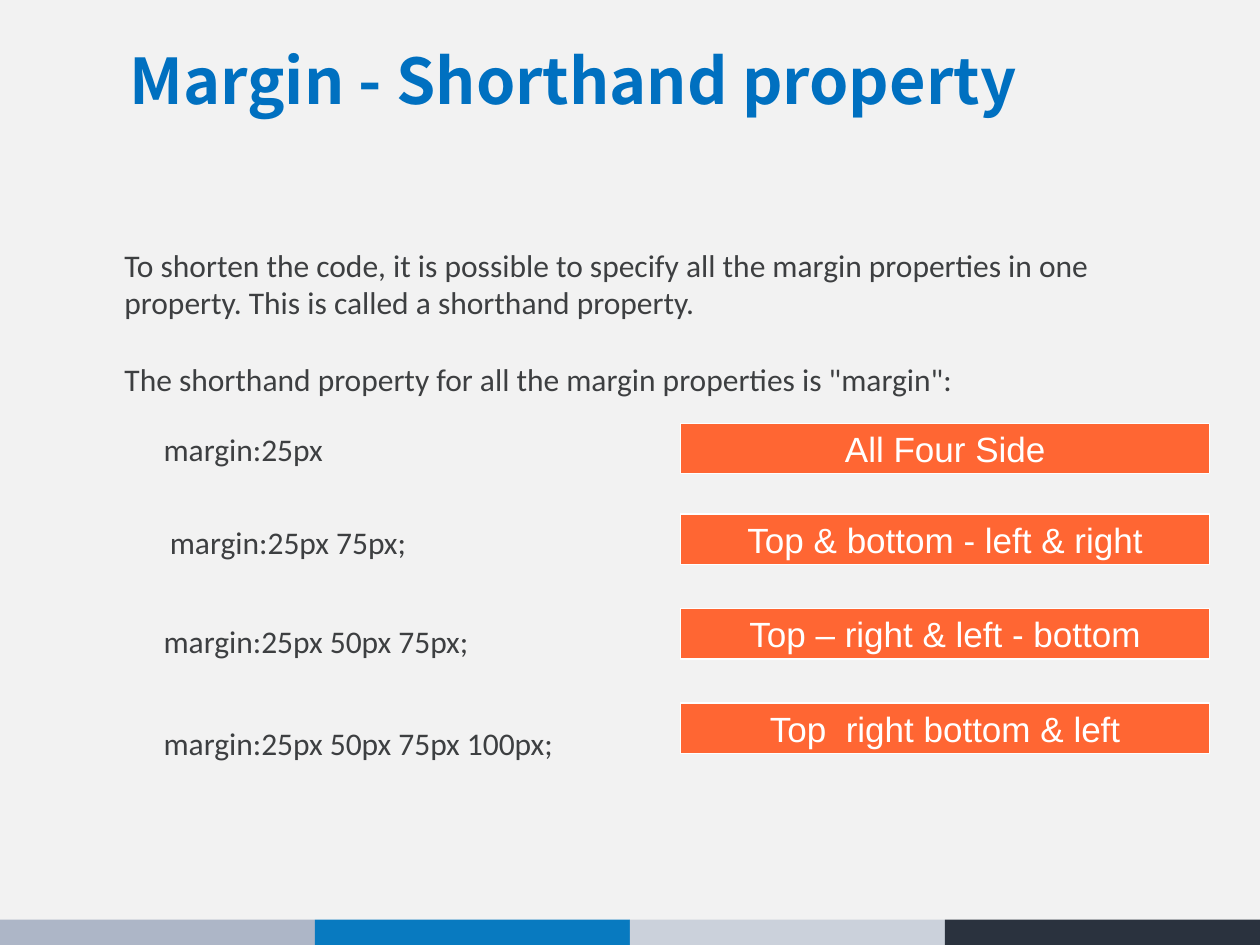
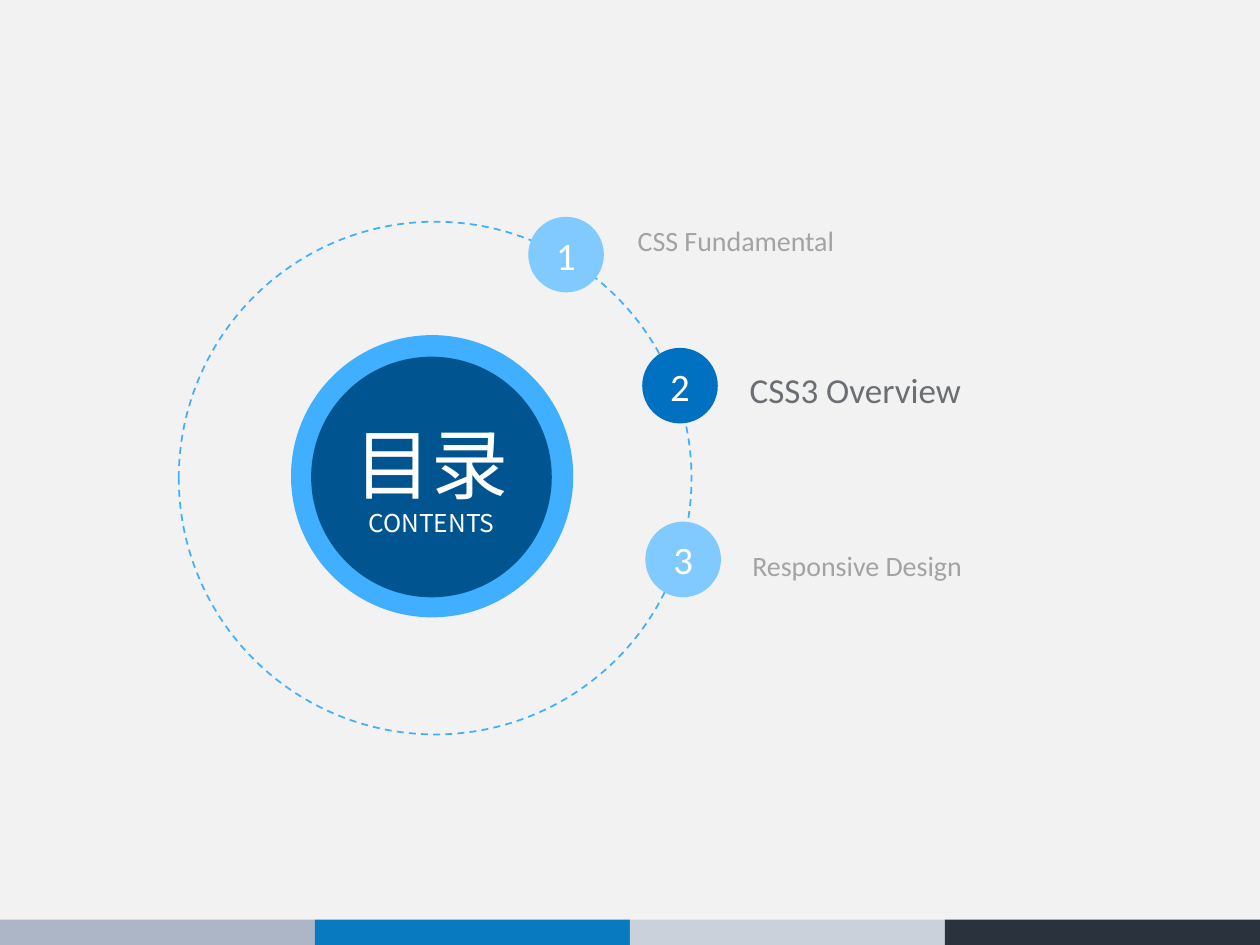
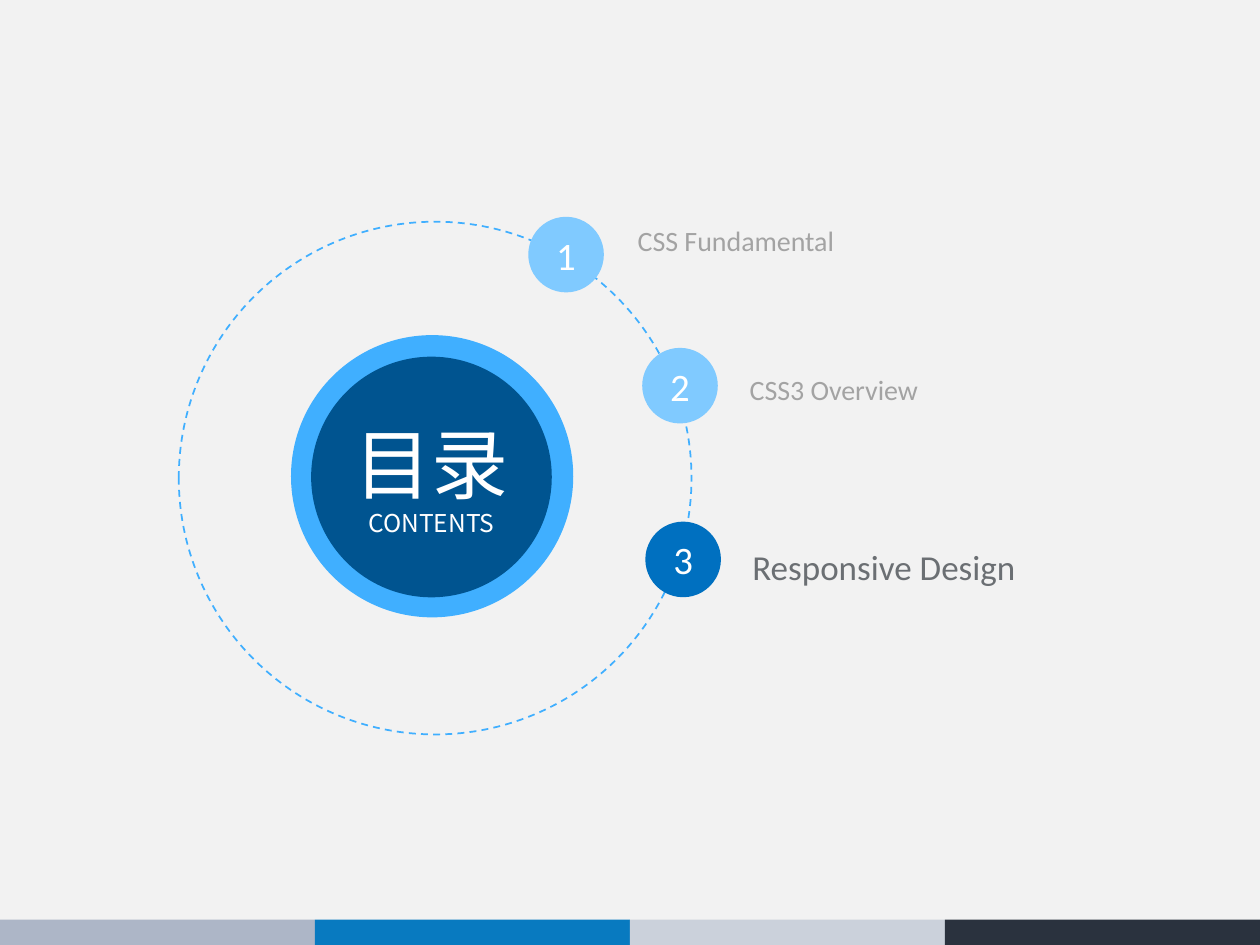
from lxml.etree import SubElement
from pptx import Presentation
from pptx.dml.color import RGBColor
from pptx.enum.dml import MSO_LINE_DASH_STYLE as Dash
from pptx.enum.shapes import MSO_SHAPE as Preset
from pptx.enum.text import MSO_ANCHOR as Anchor, PP_ALIGN as Align
from pptx.oxml.ns import qn
from pptx.util import Pt

COLORS = {
    "page": "F2F2F2", "white": "FFFFFF", "title": "0070C0", "body": "3D3F41",
    "orange": "FF6633", "sky": "40AFFF", "navy": "005490",
    "active": "0070C0", "idle": "80CAFF", "strong": "6B6F73", "faint": "A3A3A3",
    "band_grey": "ADB6C7", "band_blue": "087AC0",
    "band_pale": "CBD1DB", "band_dark": "2A323E",
}
CJK_FONT = "Noto Sans CJK SC"
FONTS = {
    "title": {"name": CJK_FONT, "size": Pt(36), "bold": True},
    "body": {"name": "Calibri", "size": Pt(18)},
    "pill": {"name": "Arial", "size": Pt(20)},
    "hub": {"name": CJK_FONT, "size": Pt(44)},
    "hub_small": {"name": CJK_FONT, "size": Pt(14)},
    "number": {"name": "Calibri", "size": Pt(22.2)},
    "topic": {"name": "Calibri", "size": Pt(16)},
    "topic_active": {"name": "Calibri", "size": Pt(20)},
}
INSETS = (7.2, 3.6, 7.2, 3.6)
SIDES = ("margin_left", "margin_top", "margin_right", "margin_bottom")

MARGIN_ROWS = [
    ("margin:25px", 86.4, 242, "All Four Side", 242),
    ("margin:25px 75px;", 90, 295.2, "Top & bottom - left & right", 293.8),
    ("margin:25px 50px 75px;", 86.4, 352, "Top – right & left - bottom", 347.8),
    ("margin:25px 50px 75px 100px;", 86.4, 410.4, "Top  right bottom & left", 401.8),
]
TOPICS = [
    ("CSS Fundamental", (361.5, 105.1, 281.5, 60.5), (301.9, 123.9)),
    ("CSS3 Overview", (425.5, 190.1, 234.7, 60.5), (367, 198.8)),
    ("Responsive Design", (427, 290.9, 237.6, 60.5), (368.8, 298.1)),
]


def color(name):
    return RGBColor.from_string(COLORS[name])


def apply(target, values):
    for name, value in values.items():
        setattr(target, name, value)


class Designer:
    def __init__(self):
        self.deck = Presentation()
        apply(self.deck, {"slide_width": Pt(720), "slide_height": Pt(540)})
        self.page = None

    def new_page(self):
        self.page = self.deck.slides.add_slide(self.deck.slide_layouts[6])
        fill = self.page.background.fill
        fill.solid()
        fill.fore_color.rgb = color("page")
        for index, name in enumerate(("grey", "blue", "pale", "dark")):
            self.shape(Preset.RECTANGLE, (index * 180, 525.5, 180, 14.5), "band_" + name)

    def shape(self, preset, place, fill=None, line=None, width=0, dash=None):
        box = self.page.shapes.add_shape(preset, *map(Pt, place))
        box.shadow.inherit = False
        if fill:
            box.fill.solid()
            box.fill.fore_color.rgb = color(fill)
        else:
            box.fill.background()
        if line:
            box.line.color.rgb = color(line)
            apply(box.line, {"width": Pt(width), "dash_style": dash})
        else:
            box.line.fill.background()
        return box

    def fill_text(self, box, lines, tint, insets=INSETS, anchor=Anchor.MIDDLE, **layout):
        frame = box.text_frame
        apply(frame, {"word_wrap": True, "vertical_anchor": anchor})
        apply(frame, dict(zip(SIDES, map(Pt, insets))))
        for index, (text, style) in enumerate(lines):
            para = frame.add_paragraph() if index else frame.paragraphs[0]
            apply(para, layout)
            if index == 0:
                para.space_before = Pt(0)
            span = para.add_run()
            span.text = text
            apply(span.font, FONTS[style])
            span.font.color.rgb = color(tint)
            if span.font.name == CJK_FONT:
                SubElement(span.font._element, qn("a:ea"), typeface=CJK_FONT)

    def text(self, place, lines, tint, **options):
        box = self.page.shapes.add_textbox(*map(Pt, place))
        self.fill_text(box, lines, tint, **options)

    def label(self, preset, place, fill, lines, line=None, **options):
        box = self.shape(preset, place, fill, line)
        self.fill_text(box, lines, "white", alignment=Align.CENTER, **options)

    def margin_page(self):
        self.new_page()
        self.text((67, 2.9, 600, 90), [("Margin - Shorthand property", "title")],
                  "title", line_spacing=0.9)
        self.text((64, 136.8, 635, 116.6), [
            ("To shorten the code, it is possible to specify all the margin properties "
             "in one property. This is called a shorthand property.", "body"),
            ('The shorthand property for all the margin properties is "margin":', "body"),
        ], "body", anchor=Anchor.TOP, space_before=Pt(22))
        for code, left, top, meaning, pill_top in MARGIN_ROWS:
            self.text((left, top, 280, 27.4), [(code, "body")], "body", anchor=Anchor.TOP)
            self.label(Preset.RECTANGLE, (389, pill_top, 302.4, 28.8), "orange",
                       [(meaning, "pill")], line="white")

    def contents_page(self, active):
        self.new_page()
        self.shape(Preset.OVAL, (166.3, 191.5, 161.3, 161.3), "sky")
        self.shape(Preset.OVAL, (102.2, 126.7, 293, 293), None, "sky", 1, Dash.DASH)
        self.label(Preset.OVAL, (177.8, 203.8, 137.5, 137.5), "navy",
                   [("目录", "hub"), ("CONTENTS", "hub_small")], insets=(0, 0, 0, 0))
        for number, (topic, place, dot) in enumerate(TOPICS, 1):
            chosen = number == active
            self.text(place, [(topic, "topic_active" if chosen else "topic")],
                      "strong" if chosen else "faint",
                      insets=(2.9, 0, 0, 0), line_spacing=1.2)
            self.label(Preset.OVAL, (*dot, 43.2, 43.2), "active" if chosen else "idle",
                       [(str(number), "number")])


def main():
    designer = Designer()
    designer.margin_page()
    for active in (2, 3):
        designer.contents_page(active)
    designer.deck.save("out.pptx")


if __name__ == "__main__":
    main()
